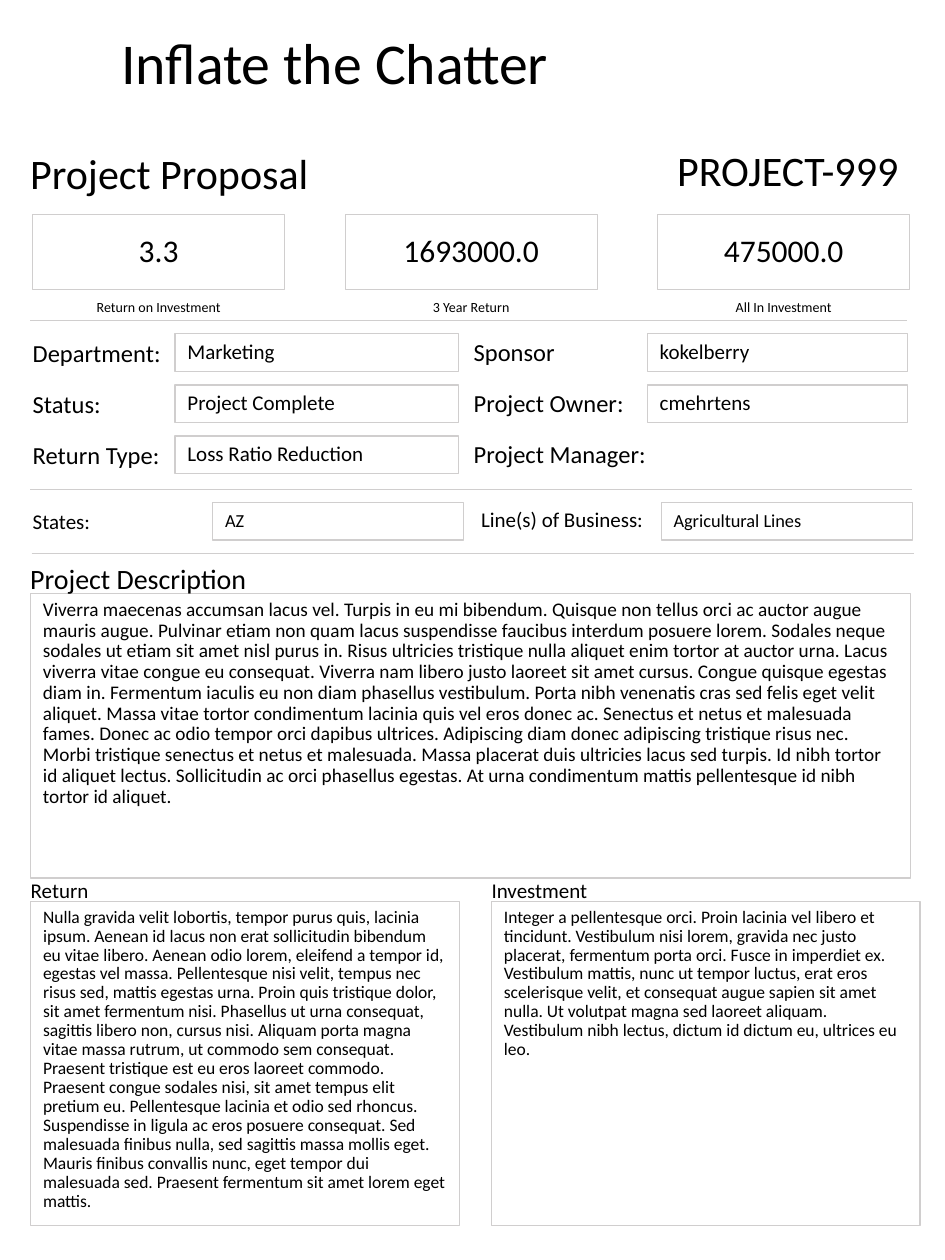
import pptx
import pptx.util
import pptx.dml.color
import pptx.enum.shapes
import pptx.enum.text
import pptx.oxml
from dataclasses import dataclass

Cm, Pt = pptx.util.Cm, pptx.util.Pt
ALIGN = pptx.enum.text.PP_ALIGN
ANCHOR = pptx.enum.text.MSO_ANCHOR


@dataclass(frozen=True)
class Theme:
    font: str = "Calibri"
    ink: str = "000000"
    border: str = "D0CECE"
    title: float = 33
    header: float = 24
    metric: float = 18
    section: float = 16
    label: float = 14
    small_label: float = 12
    field: float = 12
    small_field: float = 10.5
    description: float = 11
    narrative: float = 10
    caption: float = 8


THEME = Theme()


@dataclass(frozen=True)
class Box:
    """A rectangle in centimetres."""
    left: float
    top: float
    width: float
    height: float

    def inner(self, left, top, width, height):
        return Box(self.left + left, self.top + top, width, height)

    def lengths(self):
        return [Cm(side) for side in (self.left, self.top, self.width, self.height)]


def colour(value):
    return pptx.dml.color.RGBColor.from_string(value)


def write(shape, words, size, align=ALIGN.LEFT, anchor=ANCHOR.TOP, flush=False, spacing=None):
    frame = shape.text_frame
    frame.word_wrap = True
    frame.auto_size = pptx.enum.text.MSO_AUTO_SIZE.NONE
    frame.vertical_anchor = anchor
    if flush:
        frame.margin_left = frame.margin_top = frame.margin_right = frame.margin_bottom = 0
    para = frame.paragraphs[0]
    para.alignment = align
    para.line_spacing = spacing
    para.space_before = Pt(0)
    span = para.add_run()
    span.text = words
    span.font.name = THEME.font
    span.font.size = Pt(size)
    span.font.color.rgb = colour(THEME.ink)
    return para


def place(shape, box):
    shape.left, shape.top, shape.width, shape.height = box.lengths()


def outline(shape):
    shape.fill.background()
    shape.line.color.rgb = colour(THEME.border)
    shape.line.width = Pt(0.75)


def add_text(page, box, words, size, **style):
    write(page.shapes.add_textbox(*box.lengths()), words, size, **style)


def add_field(page, box, words, size, **style):
    shape = page.shapes.add_shape(pptx.enum.shapes.MSO_SHAPE.RECTANGLE, *box.lengths())
    shape.shadow.inherit = False
    outline(shape)
    write(shape, words, size, spacing=0.9, **style)


def add_rule(page, left, top, right):
    rule = page.shapes.add_connector(
        pptx.enum.shapes.MSO_CONNECTOR.STRAIGHT, Cm(left), Cm(top), Cm(right), Cm(top))
    rule.line.color.rgb = colour(THEME.border)
    rule.line.width = Pt(0.5)
    rule._element.spPr.append(pptx.oxml.parse_xml(
        '<a:effectLst xmlns:a="http://schemas.openxmlformats.org/drawingml/2006/main"/>'))


# Title, document type and project number
def build_header(page, box):
    title = page.shapes.title
    place(title, box.inner(1.83, 0, 15.88, 1.27))
    write(title, "Inflate the Chatter", THEME.title,
          anchor=ANCHOR.MIDDLE, flush=True, spacing=0.9)
    add_text(page, box.inner(0, 2.28, 8.64, 1.02), "Project Proposal", THEME.header, flush=True)
    add_text(page, box.inner(9.19, 2.28, 8.56, 1.02), "PROJECT-999", THEME.header,
             align=ALIGN.RIGHT, anchor=ANCHOR.MIDDLE, spacing=0.9)


# Three key figures with captions
def build_metrics(page, box, metrics):
    width = 5.08
    step = (box.width - width) / (len(metrics) - 1)
    for index, (value, caption) in enumerate(metrics):
        left = index * step
        add_field(page, box.inner(left, 0, width, 1.52), value, THEME.metric,
                  align=ALIGN.CENTER, anchor=ANCHOR.MIDDLE)
        add_text(page, box.inner(left, 1.57, width, 0.51), caption, THEME.caption,
                 align=ALIGN.CENTER)


# A column of labels, each with its value if there is one
def build_fields(page, box, rows, field_left, label_drop, label_size, field_size):
    for index, (label, value) in enumerate(rows):
        top = index * 1.03
        add_text(page, box.inner(0, top + label_drop, field_left, 0.61), label,
                 label_size, flush=True)
        if value:
            add_field(page, box.inner(field_left, top, box.width - field_left, 0.76),
                      value, field_size, anchor=ANCHOR.MIDDLE)


# Project description in the body placeholder
def build_description(page, box, words):
    add_text(page, box.inner(0, 0, 8.64, 0.64), "Project Description", THEME.section, flush=True)
    body = page.placeholders[1]
    place(body, box.inner(0, 0.63, box.width, box.height - 0.63))
    outline(body)
    para = write(body, words, THEME.description, spacing=0.9)
    properties = para._p.get_or_add_pPr()
    properties.set("marL", "0")
    properties.set("indent", "0")
    properties.append(pptx.oxml.parse_xml(
        '<a:buNone xmlns:a="http://schemas.openxmlformats.org/drawingml/2006/main"/>'))


# Headed narrative panel
def build_narrative(page, box, heading, words):
    add_text(page, box.inner(0, 0, box.width, 0.46), heading, THEME.small_label, flush=True)
    add_field(page, box.inner(0, 0.48, box.width, box.height - 0.48), words, THEME.narrative)


DESCRIPTION = " ".join([
    "Viverra maecenas accumsan lacus vel. Turpis in eu mi bibendum. Quisque non tellus orci ac auctor augue",
    "mauris augue. Pulvinar etiam non quam lacus suspendisse faucibus interdum posuere lorem. Sodales neque",
    "sodales ut etiam sit amet nisl purus in. Risus ultricies tristique nulla aliquet enim tortor at auctor urna.",
    "Lacus viverra vitae congue eu consequat. Viverra nam libero justo laoreet sit amet cursus. Congue quisque",
    "egestas diam in. Fermentum iaculis eu non diam phasellus vestibulum. Porta nibh venenatis cras sed felis eget",
    "velit aliquet. Massa vitae tortor condimentum lacinia quis vel eros donec ac. Senectus et netus et malesuada",
    "fames. Donec ac odio tempor orci dapibus ultrices. Adipiscing diam donec adipiscing tristique risus nec.",
    "Morbi tristique senectus et netus et malesuada. Massa placerat duis ultricies lacus sed turpis. Id nibh tortor",
    "id aliquet lectus. Sollicitudin ac orci phasellus egestas. At urna condimentum mattis pellentesque id nibh",
    "tortor id aliquet."])
RETURN = " ".join([
    "Nulla gravida velit lobortis, tempor purus quis, lacinia ipsum. Aenean id lacus non erat sollicitudin bibendum",
    "eu vitae libero. Aenean odio lorem, eleifend a tempor id, egestas vel massa. Pellentesque nisi velit, tempus nec",
    "risus sed, mattis egestas urna. Proin quis tristique dolor, sit amet fermentum nisi. Phasellus ut urna consequat,",
    "sagittis libero non, cursus nisi. Aliquam porta magna vitae massa rutrum, ut commodo sem consequat. Praesent",
    "tristique est eu eros laoreet commodo. Praesent congue sodales nisi, sit amet tempus elit pretium eu.",
    "Pellentesque lacinia et odio sed rhoncus. Suspendisse in ligula ac eros posuere consequat. Sed malesuada finibus",
    "nulla, sed sagittis massa mollis eget. Mauris finibus convallis nunc, eget tempor dui malesuada sed. Praesent",
    "fermentum sit amet lorem eget mattis."])
INVESTMENT = " ".join([
    "Integer a pellentesque orci. Proin lacinia vel libero et tincidunt. Vestibulum nisi lorem, gravida nec justo",
    "placerat, fermentum porta orci. Fusce in imperdiet ex. Vestibulum mattis, nunc ut tempor luctus, erat eros",
    "scelerisque velit, et consequat augue sapien sit amet nulla. Ut volutpat magna sed laoreet aliquam. Vestibulum",
    "nibh lectus, dictum id dictum eu, ultrices eu leo."])


def main():
    deck = pptx.Presentation()
    deck.slide_width, deck.slide_height = Cm(19.05), Cm(25.4)
    page = deck.slides.add_slide(deck.slide_layouts[1])

    build_header(page, Box(0.61, 0.69, 17.75, 3.3))
    build_metrics(page, Box(0.66, 4.32, 17.68, 2.08), [
        ("3.3", "Return on Investment"),
        ("1693000.0", "3 Year Return"),
        ("475000.0", "All In Investment")])

    for left, top, right in [(0.61, 6.45, 18.29), (0.61, 9.86, 18.39), (0.64, 11.15, 18.42)]:
        add_rule(page, left, top, right)

    build_fields(page, Box(0.66, 6.73, 8.59, 2.82), [
        ("Department:", "Marketing"),
        ("Status:", "Project Complete"),
        ("Return Type:", "Loss Ratio Reduction")], 2.87, 0.08, THEME.label, THEME.field)
    build_fields(page, Box(9.55, 6.73, 8.74, 2.82), [
        ("Sponsor", "kokelberry"),
        ("Project Owner:", "cmehrtens"),
        ("Project Manager:", None)], 3.5, 0.06, THEME.label, THEME.field)
    build_fields(page, Box(0.66, 10.13, 8.69, 0.76), [("States:", "AZ")],
                 3.63, 0.13, THEME.small_label, THEME.small_field)
    build_fields(page, Box(9.7, 10.13, 8.69, 0.76), [("Line(s) of Business:", "Agricultural Lines")],
                 3.63, 0.08, THEME.small_label, THEME.small_field)

    build_description(page, Box(0.61, 11.33, 17.75, 6.37), DESCRIPTION)
    build_narrative(page, Box(0.62, 17.7, 8.64, 7.01), "Return", RETURN)
    build_narrative(page, Box(9.91, 17.7, 8.64, 7.01), "Investment", INVESTMENT)
    deck.save("out.pptx")


if __name__ == "__main__":
    main()
